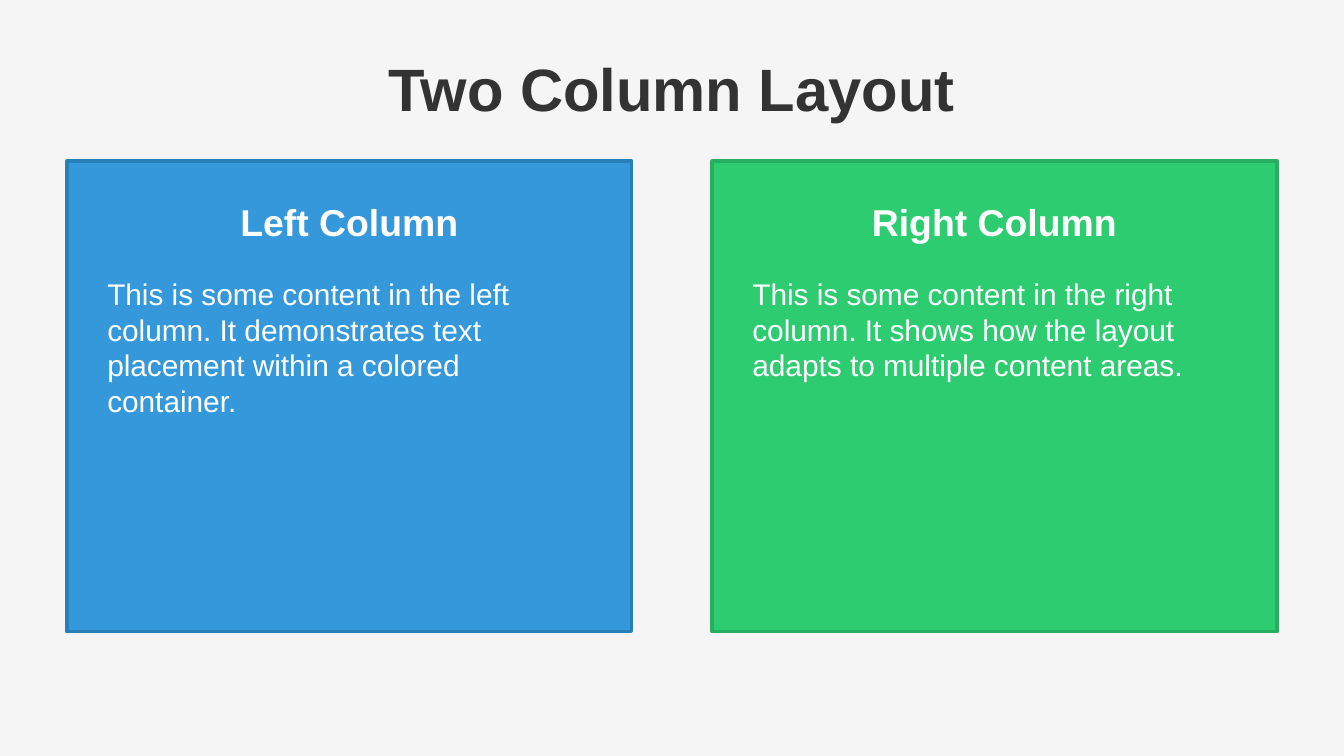
"""Build a slide with a title above two coloured text columns."""
import dataclasses

import pptx
import pptx.dml.color
import pptx.enum.shapes
import pptx.enum.text
import pptx.shapes.autoshape
import pptx.slide
import pptx.util

Pt = pptx.util.Pt
Align = pptx.enum.text.PP_ALIGN
Anchor = pptx.enum.text.MSO_ANCHOR

SLIDE_WIDTH, SLIDE_HEIGHT = 720, 405
MARGIN = 36
COLUMN_TOP, COLUMN_WIDTH, COLUMN_HEIGHT = 86.4, 302.4, 252
PADDING = 14.4
BODY_TOP = 144


@dataclasses.dataclass(frozen=True)
class Column:
    heading: str
    body: str
    fill: str
    border: str


@dataclasses.dataclass(frozen=True)
class TextStyle:
    size: float
    colour: str
    bold: bool
    align: Align
    anchor: Anchor


TITLE = TextStyle(32, "333333", True, Align.CENTER, Anchor.MIDDLE)
HEADING = TextStyle(20, "FFFFFF", True, Align.CENTER, Anchor.MIDDLE)
BODY = TextStyle(16, "FFFFFF", False, Align.LEFT, Anchor.TOP)

COLUMNS = [
    Column(
        "Left Column",
        "This is some content in the left column. "
        "It demonstrates text placement within a colored container.",
        "3498DB",
        "2980B9",
    ),
    Column(
        "Right Column",
        "This is some content in the right column. "
        "It shows how the layout adapts to multiple content areas.",
        "2ECC71",
        "27AE60",
    ),
]


def colour(value: str) -> pptx.dml.color.RGBColor:
    return pptx.dml.color.RGBColor.from_string(value)


def write(box: pptx.shapes.autoshape.Shape, text: str, style: TextStyle) -> None:
    frame = box.text_frame
    frame.text = text
    frame.word_wrap = True
    frame.auto_size = pptx.enum.text.MSO_AUTO_SIZE.NONE
    frame.vertical_anchor = style.anchor
    para = frame.paragraphs[0]
    para.alignment = style.align
    font = para.runs[0].font
    font.name = "Arial"
    font.size = Pt(style.size)
    font.bold = style.bold
    font.color.rgb = colour(style.colour)


def add_title(slide: pptx.slide.Slide, text: str) -> None:
    title = slide.shapes.title
    title.left, title.top = Pt(MARGIN), Pt(21.6)
    title.width, title.height = Pt(SLIDE_WIDTH - 2 * MARGIN), Pt(50.4)
    write(title, text, TITLE)


def add_column(slide: pptx.slide.Slide, column: Column, left: float) -> None:
    panel = slide.shapes.add_shape(
        pptx.enum.shapes.MSO_SHAPE.RECTANGLE,
        Pt(left), Pt(COLUMN_TOP), Pt(COLUMN_WIDTH), Pt(COLUMN_HEIGHT),
    )
    panel.shadow.inherit = False
    panel.fill.solid()
    panel.fill.fore_color.rgb = colour(column.fill)
    panel.line.color.rgb = colour(column.border)
    panel.line.width = Pt(2)

    heading = slide.shapes.add_textbox(
        Pt(left), Pt(COLUMN_TOP + PADDING), Pt(COLUMN_WIDTH), Pt(36)
    )
    write(heading, column.heading, HEADING)
    body = slide.shapes.add_textbox(
        Pt(left + PADDING), Pt(BODY_TOP), Pt(COLUMN_WIDTH - 2 * PADDING), Pt(180)
    )
    write(body, column.body, BODY)


def main() -> None:
    deck = pptx.Presentation()
    deck.slide_width, deck.slide_height = Pt(SLIDE_WIDTH), Pt(SLIDE_HEIGHT)
    slide = deck.slides.add_slide(deck.slide_layouts.get_by_name("Title Only"))
    slide.background.fill.solid()
    slide.background.fill.fore_color.rgb = colour("F5F5F5")

    add_title(slide, "Two Column Layout")
    lefts = (MARGIN, SLIDE_WIDTH - MARGIN - COLUMN_WIDTH)
    for column, left in zip(COLUMNS, lefts):
        add_column(slide, column, left)
    deck.save("out.pptx")


if __name__ == "__main__":
    main()
